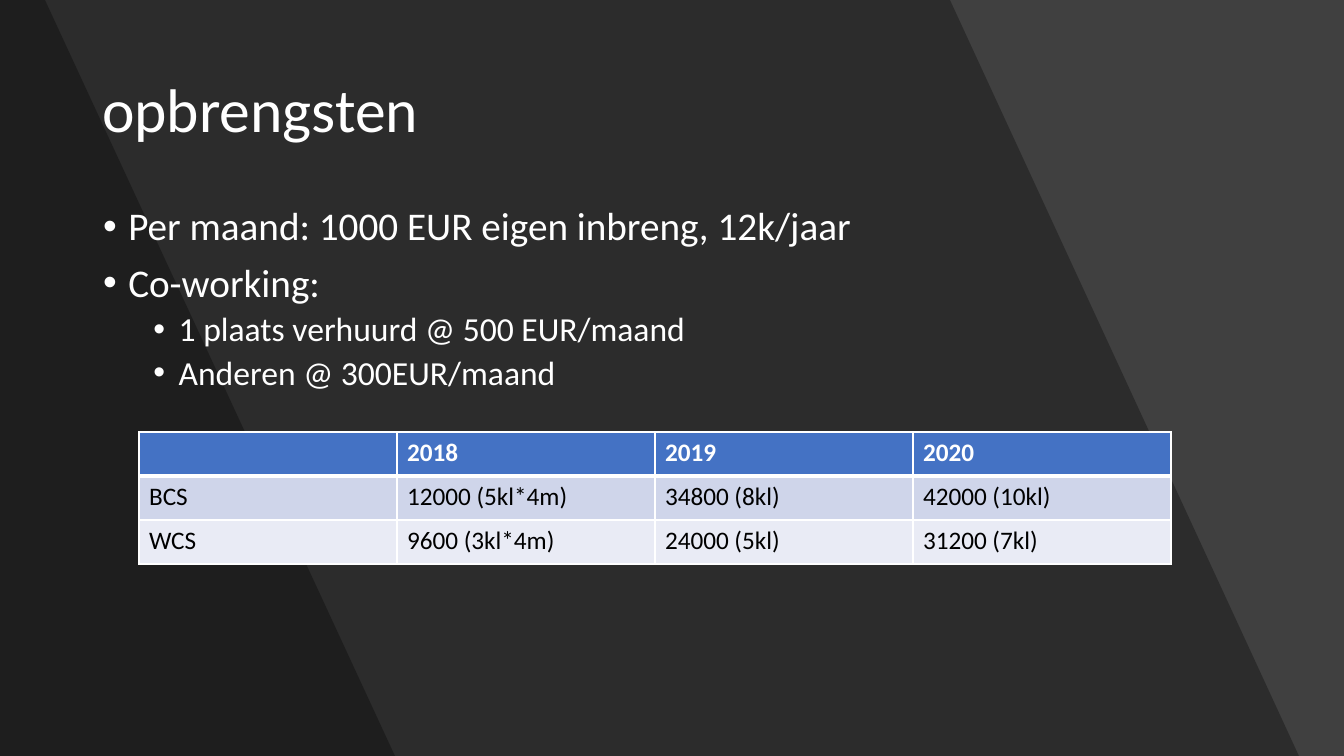
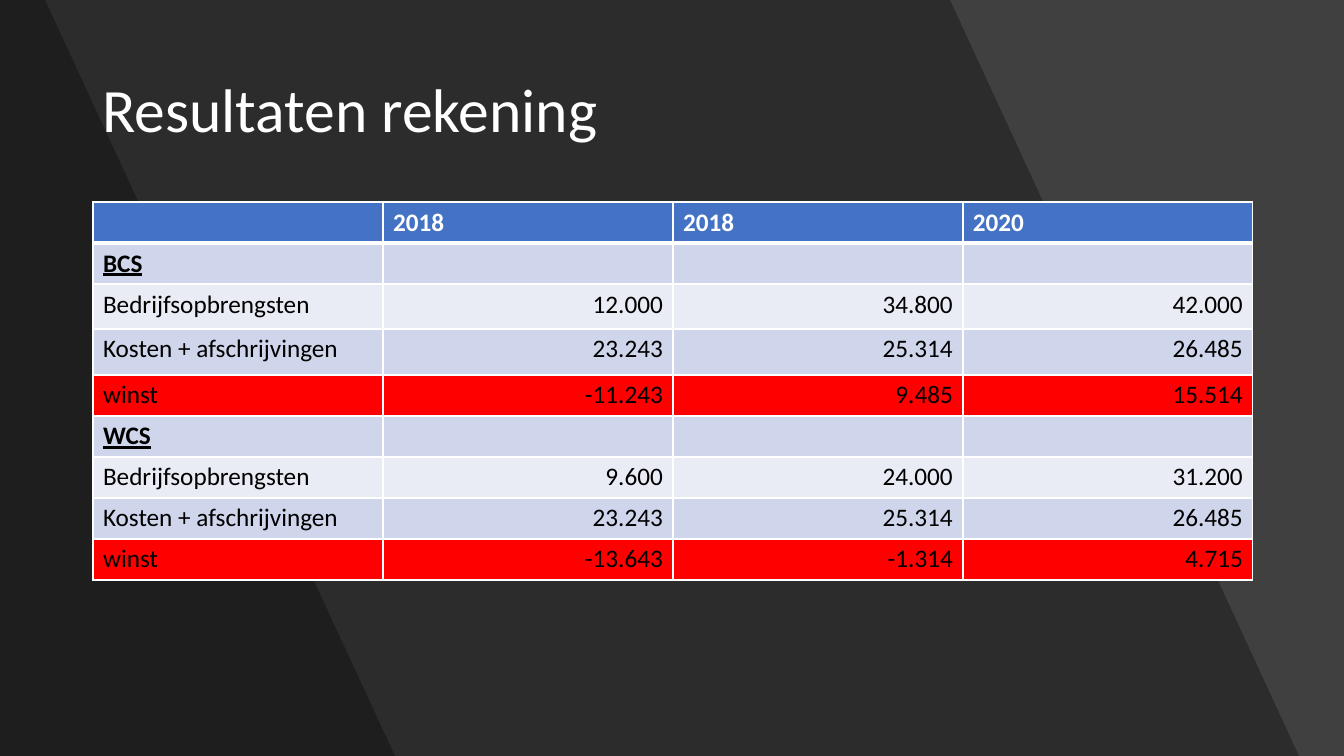
import dataclasses

import lxml.etree
import pptx
import pptx.dml.color
import pptx.enum.text
import pptx.oxml.ns
import pptx.util

EMU_PER_PX = 914400 / 100.8
WIDTH, HEIGHT = 1344, 756
ALIGN = pptx.enum.text.PP_ALIGN
rgb = pptx.dml.color.RGBColor.from_string
qn = pptx.oxml.ns.qn


@dataclasses.dataclass(frozen=True)
class Theme:
    font: str = "Calibri"
    background: str = "404040"
    shade: str = "000000"
    shade_alpha: int = 30000
    light: str = "FFFFFF"
    dark: str = "000000"
    header: str = "4472C4"
    bands: tuple = ("E9EBF5", "CFD5EA")
    profit: str = "FF0000"
    title_size: int = 44
    list_sizes: tuple = (28, 24)
    table_size: int = 18


theme = Theme()


def px(length):
    return pptx.util.Emu(round(length * EMU_PER_PX))


def add_year_table(slide, left, top, column_width, row_heights, rows, figure_align):
    """Add a table with a header of years; "winst" rows are highlighted."""
    columns = len(rows[0])
    table = slide.shapes.add_table(
        len(rows), columns, px(left), px(top),
        px(column_width * columns), px(sum(row_heights))).table
    for column in table.columns:
        column.width = px(column_width)
    for r, (height, texts) in enumerate(zip(row_heights, rows)):
        table.rows[r].height = px(height)
        is_header = r == 0
        is_section = not is_header and not any(texts[1:])
        if is_header:
            fill = theme.header
        else:
            fill = theme.profit if texts[0] == "winst" else theme.bands[r % 2]
        for c, text in enumerate(texts):
            cell = table.cell(r, c)
            cell.text = text
            paragraph = cell.text_frame.paragraphs[0]
            paragraph.alignment = ALIGN.LEFT if is_header or c == 0 else figure_align
            font = paragraph.font
            font.name = theme.font
            font.size = pptx.util.Pt(theme.table_size)
            font.bold = is_header or is_section
            font.underline = is_section
            font.color.rgb = rgb(theme.light if is_header else theme.dark)

            properties = cell._tc.get_or_add_tcPr()
            # The line below the header is the thick one.
            widths = {"L": 1, "R": 1, "T": 3 if r == 1 else 1, "B": 3 if is_header else 1}
            for side, width in widths.items():
                line = lxml.etree.SubElement(
                    properties, qn("a:ln" + side), w=str(pptx.util.Pt(width)))
                solid = lxml.etree.SubElement(line, qn("a:solidFill"))
                lxml.etree.SubElement(solid, qn("a:srgbClr"), val=theme.light)
            cell.fill.solid()
            cell.fill.fore_color.rgb = rgb(fill)


deck = pptx.Presentation()
deck.slide_width, deck.slide_height = px(WIDTH), px(HEIGHT)
backdrop = deck.slide_master.background.fill
backdrop.solid()
backdrop.fore_color.rgb = rgb(theme.background)

TITLE_AND_LIST, TITLE_ONLY = deck.slide_layouts[1], deck.slide_layouts[5]
income = deck.slides.add_slide(TITLE_AND_LIST)
results = deck.slides.add_slide(TITLE_ONLY)

# Shared look: slanted shades behind a left-aligned title
for slide, heading in ((income, "opbrengsten"), (results, "Resultaten rekening")):
    title = slide.shapes.title
    title.left, title.top, title.width, title.height = px(92), px(40), px(1160), px(146)
    title.text_frame.text = heading
    title.text_frame.auto_size = pptx.enum.text.MSO_AUTO_SIZE.NONE
    title.text_frame.vertical_anchor = pptx.enum.text.MSO_ANCHOR.MIDDLE
    paragraph = title.text_frame.paragraphs[0]
    paragraph.alignment = ALIGN.LEFT
    paragraph.line_spacing = 0.9
    paragraph.font.name = theme.font
    paragraph.font.size = pptx.util.Pt(theme.title_size)
    paragraph.font.color.rgb = rgb(theme.light)

    for top_edge, bottom_edge in ((950, 1299), (45, 395)):
        outline = slide.shapes.build_freeform(0, 0, scale=EMU_PER_PX)
        outline.add_line_segments([(top_edge, 0), (bottom_edge, HEIGHT), (0, HEIGHT)])
        shade = outline.convert_to_shape()
        shade.shadow.inherit = False
        shade.line.fill.background()
        shade.fill.solid()
        shade.fill.fore_color.rgb = rgb(theme.shade)
        color = shade.element.spPr.find(qn("a:solidFill"))[0]
        lxml.etree.SubElement(color, qn("a:alpha"), val=str(theme.shade_alpha))
        title.element.addprevious(shade.element)

# Income
sources = income.placeholders[1]
sources.left, sources.top, sources.width, sources.height = px(93), px(202), px(1159), px(480)
sources.text_frame.auto_size = pptx.enum.text.MSO_AUTO_SIZE.NONE
source_lines = (
    (0, "Per maand: 1000 EUR eigen inbreng, 12k/jaar"),
    (0, "Co-working:"),
    (1, "1 plaats verhuurd @ 500 EUR/maand"),
    (1, "Anderen @ 300EUR/maand"),
)
sources.text_frame.text = "\n".join(text for _, text in source_lines)
for paragraph, (level, _) in zip(sources.text_frame.paragraphs, source_lines):
    paragraph.level = level
    paragraph.line_spacing = 0.9
    paragraph.space_before = pptx.util.Pt((10, 5)[level])
    paragraph.font.name = theme.font
    paragraph.font.size = pptx.util.Pt(theme.list_sizes[level])
    paragraph.font.color.rgb = rgb(theme.light)
    properties = paragraph._p.get_or_add_pPr()
    properties.set("marL", str(pptx.util.Inches((0.25, 0.75)[level])))
    properties.set("indent", str(pptx.util.Inches(-0.25)))
    bullet_font = lxml.etree.Element(qn("a:buFont"), typeface="Arial")
    bullet = lxml.etree.Element(qn("a:buChar"), char="•")
    properties.find(qn("a:defRPr")).addprevious(bullet_font)
    bullet_font.addnext(bullet)

add_year_table(income, 139, 432, 258, [44] * 3, [
    ("", "2018", "2019", "2020"),
    ("BCS", "12000 (5kl*4m)", "34800 (8kl)", "42000 (10kl)"),
    ("WCS", "9600 (3kl*4m)", "24000 (5kl)", "31200 (7kl)"),
], ALIGN.LEFT)

# Results
costs = ("Kosten + afschrijvingen", "23.243", "25.314", "26.485")
add_year_table(results, 93, 202, 290, [41, 41, 45, 46] + [41] * 5, [
    ("", "2018", "2018", "2020"),
    ("BCS", "", "", ""),
    ("Bedrijfsopbrengsten", "12.000", "34.800", "42.000"),
    costs,
    ("winst", "-11.243", "9.485", "15.514"),
    ("WCS", "", "", ""),
    ("Bedrijfsopbrengsten", "9.600", "24.000", "31.200"),
    costs,
    ("winst", "-13.643", "-1.314", "4.715"),
], ALIGN.RIGHT)

deck.save("out.pptx")
